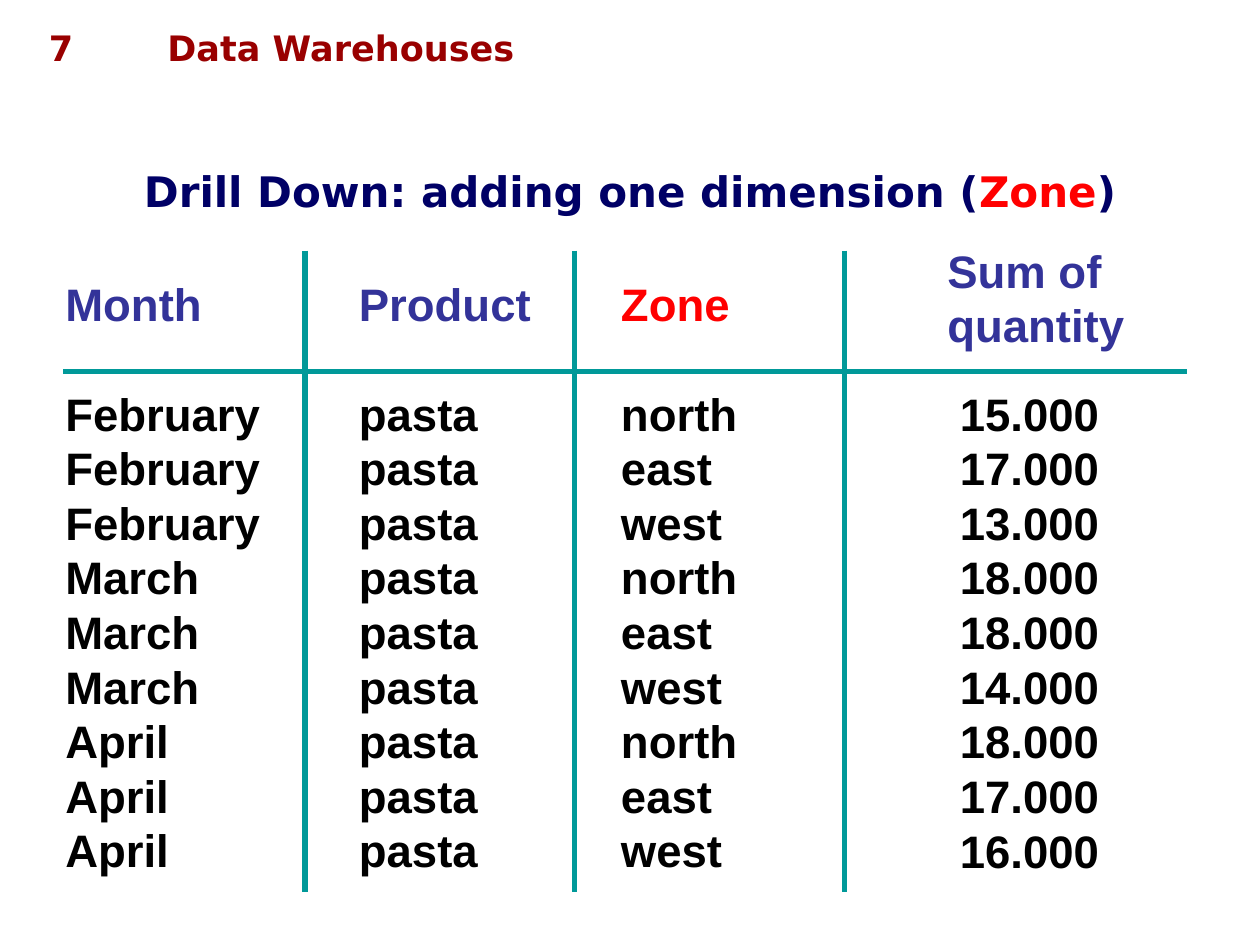
from pptx import Presentation
from pptx.dml.color import RGBColor
from pptx.enum.shapes import MSO_CONNECTOR
from pptx.enum.text import MSO_ANCHOR, PP_ALIGN
from pptx.oxml.ns import qn
from pptx.util import Inches, Pt

LEFT, CENTER = PP_ALIGN.LEFT, PP_ALIGN.CENTER
TOP, MIDDLE = MSO_ANCHOR.TOP, MSO_ANCHOR.MIDDLE
STRAIGHT = MSO_CONNECTOR.STRAIGHT

COLORS = {
    "banner": "990000",
    "title": "000066",
    "heading": "333399",
    "added": "FF0000",
    "value": "000000",
    "rule": "009999",
}
BODY_FONT, TITLE_FONT = "Arial", "DejaVu Sans"
BODY_SIZE = 26
LINE_PITCH = 31.2  # points, 1.2 times the body size

# Content
BANNER = [("7", 0.13, 0.71, CENTER), ("Data Warehouses", 1.23, 8.51, LEFT)]
TITLE = [
    ("Drill Down: adding one dimension (", "title"),
    ("Zone", "added"),
    (")", "title"),
]
MONTHS = ["February", "March", "April"]
ZONES = ["north", "east", "west"]
QUANTITIES = ["15.000", "17.000", "13.000", "18.000", "18.000", "14.000",
              "18.000", "17.000", "16.000"]
ROWS = [(month, "pasta", zone) for month in MONTHS for zone in ZONES]
MONTH_CELLS, PRODUCT_CELLS, ZONE_CELLS = zip(*ROWS)

# Heading lines, heading colour, cells, left, width, gap below heading, cell indent
COLUMNS = [
    (["Month"], "heading", MONTH_CELLS, 0.42, 2, 31.2, 0),
    (["Product"], "heading", PRODUCT_CELLS, 2.75, 2.25, 31.2, 0),
    (["Zone"], "added", ZONE_CELLS, 4.83, 1.38, 31.2, 0),
    (["Sum of", "quantity"], "heading", QUANTITIES, 7.42, 2, 19.2, 0.1),
]
TABLE_BOTTOM = 7.01
RULES = [(0.5, 2.95, 9.42, 2.95)] + [
    (2.42 + 2.14 * i, 1.99, 2.42 + 2.14 * i, 7.08) for i in range(3)
]


def write_paragraph(paragraph, runs, font=BODY_FONT, size=BODY_SIZE, align=LEFT,
                    pitch=None, before=0, indent=0):
    """Write (text, colour name) runs in bold."""
    paragraph.alignment = align
    paragraph.space_before = Pt(before)
    if pitch:
        paragraph.line_spacing = Pt(pitch)
    if indent:
        paragraph._p.get_or_add_pPr().set("marL", str(Inches(indent)))
    for text, color in runs:
        run = paragraph.add_run()
        run.text = text
        run.font.name = font
        run.font.size = Pt(size)
        run.font.bold = True
        run.font.color.rgb = RGBColor.from_string(COLORS[color])


def add_text_frame(slide, left, top, width, height, anchor=TOP):
    box = slide.shapes.add_textbox(*map(Inches, (left, top, width, height)))
    frame = box.text_frame
    frame.word_wrap = True
    frame.vertical_anchor = anchor
    return frame


def add_column(slide, heading, color, cells, left, width, gap, indent):
    line_count = len(heading) + len(cells)
    height = (line_count * LINE_PITCH + gap) / 72 + 0.1
    frame = add_text_frame(slide, left, TABLE_BOTTOM - height, width, height, MIDDLE)
    for i, text in enumerate([*heading, *cells]):
        paragraph = frame.add_paragraph() if i else frame.paragraphs[0]
        is_cell = i >= len(heading)
        write_paragraph(
            paragraph,
            [(text, "value" if is_cell else color)],
            pitch=LINE_PITCH,
            before=gap if i == len(heading) else 0,
            indent=indent if is_cell else 0,
        )


def add_rule(slide, *ends):
    rule = slide.shapes.add_connector(STRAIGHT, *map(Inches, ends))
    rule.line.color.rgb = RGBColor.from_string(COLORS["rule"])
    rule.line.width = Pt(3)
    properties = rule._element.spPr
    properties.append(properties.makeelement(qn("a:effectLst"), {}))


def main():
    presentation = Presentation()
    presentation.slide_width, presentation.slide_height = Inches(10), Inches(7.5)
    slide = presentation.slides.add_slide(presentation.slide_layouts[5])

    # Banner with page number
    for text, left, width, align in BANNER:
        frame = add_text_frame(slide, left, 0.16, width, 0.44)
        write_paragraph(frame.paragraphs[0], [(text, "banner")],
                        font=TITLE_FONT, size=20, align=align)

    # Title
    title = slide.shapes.title
    title.left, title.top = Inches(0), Inches(1.24)
    title.width, title.height = Inches(10), Inches(0.54)
    title.text_frame.vertical_anchor = MIDDLE
    write_paragraph(title.text_frame.paragraphs[0], TITLE,
                    font=TITLE_FONT, size=24, align=CENTER)

    # Columns of data and the rules between them
    for column in COLUMNS:
        add_column(slide, *column)
    for ends in RULES:
        add_rule(slide, *ends)

    presentation.save("out.pptx")


if __name__ == "__main__":
    main()
